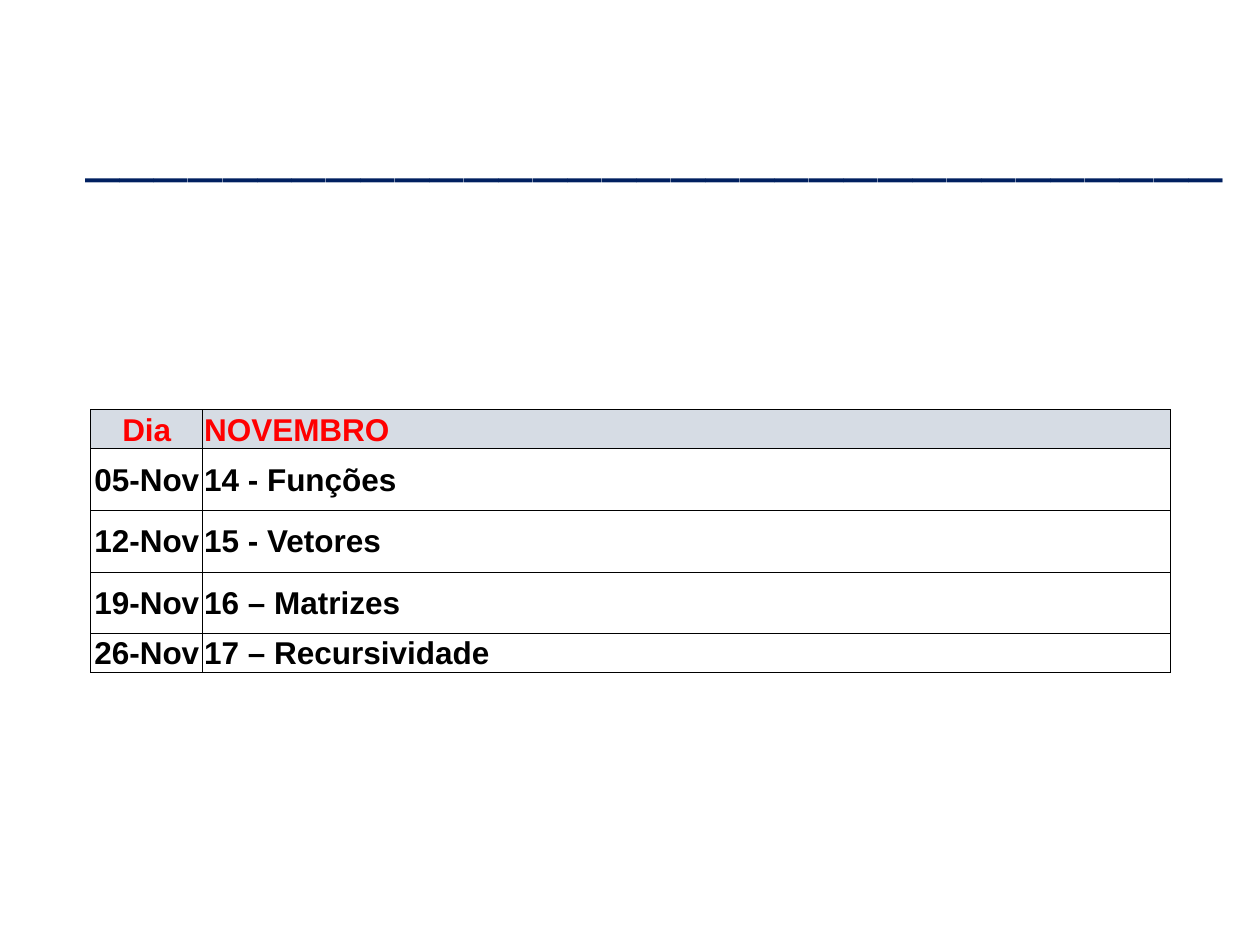
from lxml import etree
from pptx import Presentation
from pptx.dml.color import RGBColor
from pptx.enum.text import MSO_ANCHOR, PP_ALIGN
from pptx.oxml.ns import qn
from pptx.util import Inches, Pt

CENTER, LEFT = PP_ALIGN.CENTER, PP_ALIGN.LEFT
MIDDLE, BOTTOM = MSO_ANCHOR.MIDDLE, MSO_ANCHOR.BOTTOM

TITLE_RULE = "_" * 33
SCHEDULE = [
    ("Dia", "NOVEMBRO"),
    ("05-Nov", "14 - Funções"),
    ("12-Nov", "15 - Vetores"),
    ("19-Nov", "16 – Matrizes"),
    ("26-Nov", "17 – Recursividade"),
]
COLUMN_WIDTHS = (0.89, 7.68)
ROW_HEIGHTS = (0.25, 0.49, 0.49, 0.49, 0.24)
COLUMN_ALIGNMENTS = (CENTER, LEFT)

THEME = {
    "title_font": "Calibri", "title_size": 39.6, "title_color": "002060",
    "table_font": "Arial", "table_size": 18,
    "header_color": "FF0000", "header_fill": "D6DCE4",
    "body_color": "000000", "border_color": "000000", "border_width": 0.5,
}


def style_paragraph(paragraph, part, color, alignment, bold=False):
    paragraph.alignment = alignment
    for run in paragraph.runs:
        run.font.name = THEME[part + "_font"]
        run.font.size = Pt(THEME[part + "_size"])
        run.font.bold = bold
        run.font.color.rgb = RGBColor.from_string(THEME[color])


def add_borders(cell):
    """Draw all four cell borders; they must precede the fill in tcPr."""
    properties = cell._tc.get_or_add_tcPr()
    for index, side in enumerate(("lnL", "lnR", "lnT", "lnB")):
        line = etree.Element(qn("a:" + side), w=str(Pt(THEME["border_width"])))
        fill = etree.SubElement(line, qn("a:solidFill"))
        etree.SubElement(fill, qn("a:srgbClr"), val=THEME["border_color"])
        properties.insert(index, line)


def add_title(slide):
    shape = slide.shapes.add_textbox(Inches(0.51), Inches(0.53), Inches(9.37), Inches(1.25))
    frame = shape.text_frame
    frame.word_wrap = True
    frame.vertical_anchor = MIDDLE
    frame.text = TITLE_RULE
    style_paragraph(frame.paragraphs[0], "title", "title_color", CENTER)


def fill_cell(cell, text, is_header, alignment):
    cell.text = text
    cell.margin_left = cell.margin_right = cell.margin_top = Inches(0.01)
    cell.margin_bottom = 0
    cell.vertical_anchor = BOTTOM if is_header else MIDDLE
    if is_header:
        cell.fill.solid()
        cell.fill.fore_color.rgb = RGBColor.from_string(THEME["header_fill"])
    else:
        cell.fill.background()
    color = "header_color" if is_header else "body_color"
    style_paragraph(cell.text_frame.paragraphs[0], "table", color, alignment, bold=True)
    add_borders(cell)


def add_schedule(slide):
    table = slide.shapes.add_table(
        len(SCHEDULE), len(COLUMN_WIDTHS), Inches(0.72), Inches(3.25),
        Inches(sum(COLUMN_WIDTHS)), Inches(sum(ROW_HEIGHTS))).table
    table.horz_banding = False
    for column, width in zip(table.columns, COLUMN_WIDTHS):
        column.width = Inches(width)
    for row, height in zip(table.rows, ROW_HEIGHTS):
        row.height = Inches(height)
    for row_index, entries in enumerate(SCHEDULE):
        for column_index, text in enumerate(entries):
            fill_cell(table.cell(row_index, column_index), text,
                      row_index == 0, COLUMN_ALIGNMENTS[column_index])


def main():
    presentation = Presentation()
    presentation.slide_width, presentation.slide_height = Inches(10), Inches(7.5)
    slide = presentation.slides.add_slide(presentation.slide_layouts[6])
    add_title(slide)
    add_schedule(slide)
    presentation.save("out.pptx")


if __name__ == "__main__":
    main()
